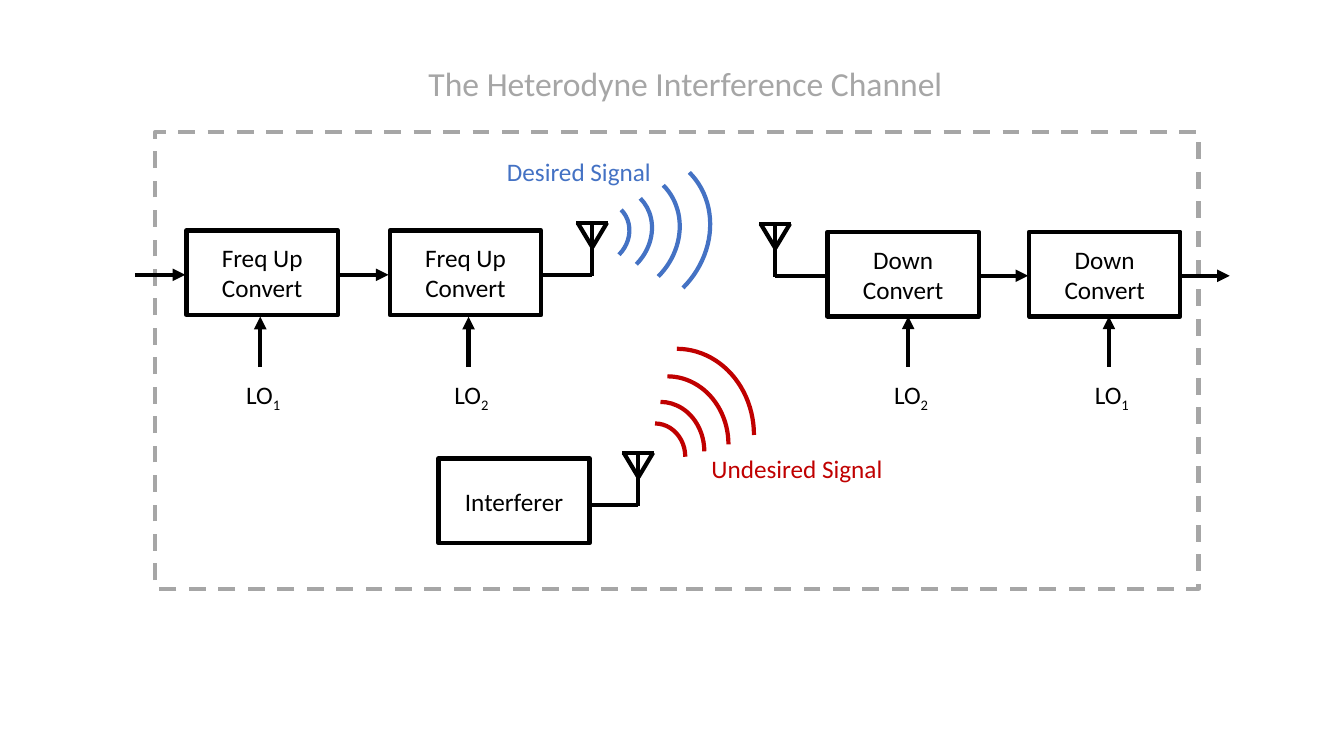
from dataclasses import dataclass
from math import cos, radians, sin

from pptx import Presentation
from pptx.dml.color import RGBColor
from pptx.enum import dml, shapes, text
from pptx.oxml import ns, xmlchemy
from pptx.util import Pt


@dataclass(frozen=True)
class Theme:
    ink: RGBColor = RGBColor(0, 0, 0)
    muted: RGBColor = RGBColor(0xA6, 0xA6, 0xA6)
    desired: RGBColor = RGBColor(0x44, 0x72, 0xC4)
    undesired: RGBColor = RGBColor(0xC0, 0, 0)
    font: str = "Calibri"
    title_size: int = 24
    label_size: int = 18
    stroke: int = 3


THEME = Theme()
STAGE_W, STAGE_H = 108, 60.5
ARROW = 36
RINGS = ((43.2, 47.5, 22), (62.6, 70.6, 16.5), (87.1, 97.2, 9.5), (110.2, 123.1, 0))


def style_text(paragraph, color, size=THEME.label_size):
    paragraph.font.name = THEME.font
    paragraph.font.size = Pt(size)
    paragraph.font.color.rgb = color


def outline(shape, color):
    shape.shadow.inherit = False
    shape.fill.background()
    shape.line.color.rgb = color
    shape.line.width = Pt(THEME.stroke)


def wire(canvas, x1, y1, x2, y2, arrow=False):
    line = canvas.add_connector(shapes.MSO_CONNECTOR.STRAIGHT, Pt(x1), Pt(y1), Pt(x2), Pt(y2))
    line.line.color.rgb = THEME.ink
    line.line.width = Pt(THEME.stroke)
    if arrow:
        head = xmlchemy.OxmlElement("a:tailEnd")
        head.set("type", "triangle")
        line.line._get_or_add_ln().append(head)
    line._element.spPr.append(line._element.spPr.makeelement(ns.qn("a:effectLst"), {}))


def heading(slide, left, top, width, height):
    title = slide.shapes.title
    title.left, title.top, title.width, title.height = map(Pt, (left, top, width, height))
    frame = title.text_frame
    frame.text = "The Heterodyne Interference Channel"
    frame.word_wrap = False
    frame.auto_size = text.MSO_AUTO_SIZE.NONE
    frame.vertical_anchor = text.MSO_ANCHOR.MIDDLE
    frame.paragraphs[0].alignment = text.PP_ALIGN.CENTER
    style_text(frame.paragraphs[0], THEME.muted, THEME.title_size)


def channel_border(canvas, left, top, width, height):
    border = canvas.add_shape(shapes.MSO_SHAPE.RECTANGLE, Pt(left), Pt(top), Pt(width), Pt(height))
    outline(border, THEME.muted)
    border.line.dash_style = dml.MSO_LINE.DASH


def stage(canvas, left, top, name):
    block = canvas.add_shape(
        shapes.MSO_SHAPE.RECTANGLE, Pt(left), Pt(top), Pt(STAGE_W), Pt(STAGE_H))
    outline(block, THEME.ink)
    block.text_frame.word_wrap = True
    block.text_frame.vertical_anchor = text.MSO_ANCHOR.MIDDLE
    paragraph = block.text_frame.paragraphs[0]
    paragraph.text = name
    paragraph.alignment = text.PP_ALIGN.CENTER
    style_text(paragraph, THEME.ink)


def label(canvas, left, top, width, words, color, subscript=""):
    caption = canvas.add_textbox(Pt(left), Pt(top), Pt(width), Pt(29))
    caption.text_frame.word_wrap = False
    paragraph = caption.text_frame.paragraphs[0]
    paragraph.text = words
    style_text(paragraph, color)
    if subscript:
        index = paragraph.add_run()
        index.text = subscript
        index._r.get_or_add_rPr().set("baseline", "-25000")


def oscillator(canvas, x, top, number):
    wire(canvas, x, top + ARROW, x, top, arrow=True)
    label(canvas, x - 17.2, top + 41, 40, "LO", THEME.ink, number)


def antenna(canvas, mast, feed_y, block_edge):
    aerial = canvas.add_group_shape().shapes
    top = feed_y - 37.2
    tip = top + 17.5
    wire(aerial, block_edge, feed_y, mast, feed_y)
    wire(aerial, mast, top, mast, feed_y + 1)
    wire(aerial, mast - 10.5, top, mast, tip)
    wire(aerial, mast + 10.5, top, mast, tip)
    wire(aerial, mast - 11.4, top, mast + 11.4, top)


def waves(canvas, center_x, center_y, tilt, color):
    ripple = canvas.add_group_shape().shapes
    direction = radians(tilt - 45)
    for width, height, distance in RINGS:
        x = center_x - distance * cos(direction)
        y = center_y - distance * sin(direction)
        arc = ripple.add_shape(
            shapes.MSO_SHAPE.ARC, Pt(x - width / 2), Pt(y - height / 2), Pt(width), Pt(height))
        outline(arc, color)
        arc.rotation = tilt


def transmitter(canvas, left, top):
    second = left + 145.2
    signal_y = top + 31.7
    for x in (left, second):
        stage(canvas, x, top, "Freq Up\nConvert")
        wire(canvas, x - 37, signal_y, x - 1, signal_y, arrow=True)
    oscillator(canvas, left + 52.6, top + 61.6, "1")
    oscillator(canvas, second + 56.2, top + 61.6, "2")
    antenna(canvas, second + 144.6, signal_y, second + STAGE_W + 1.5)


def receiver(canvas, left, top):
    second = left + 144
    signal_y = top + 31.4
    for x in (left, second):
        stage(canvas, x, top, "Down\nConvert")
        edge = x + STAGE_W - 0.7
        wire(canvas, edge, signal_y, edge + ARROW, signal_y, arrow=True)
    oscillator(canvas, left + 57.6, top + 60.5, "2")
    oscillator(canvas, second + 57, top + 60.5, "1")
    antenna(canvas, left - 37.3, signal_y, left - 1.4)


def interferer(canvas, left, top):
    stage(canvas, left, top, "Interferer")
    antenna(canvas, left + 142.8, top + 33, left + STAGE_W)


def main():
    deck = Presentation()
    deck.slide_width, deck.slide_height = Pt(960), Pt(540)
    slide = deck.slides.add_slide(deck.slide_layouts[5])
    canvas = slide.shapes
    heading(slide, 296.6, 41, 386, 36)
    waves(canvas, 448.9, 166.7, 45, THEME.desired)
    channel_border(canvas, 110.9, 94.3, 745.2, 326.2)
    transmitter(canvas, 133.3, 164.6)
    receiver(canvas, 591.1, 165.6)
    interferer(canvas, 313.2, 327.6)
    waves(canvas, 483.5, 310.7, 0, THEME.undesired)
    label(canvas, 501.1, 320.4, 138.2, "Undesired Signal", THEME.undesired)
    label(canvas, 355, 108, 118.8, "Desired Signal", THEME.desired)
    deck.save("out.pptx")


if __name__ == "__main__":
    main()
